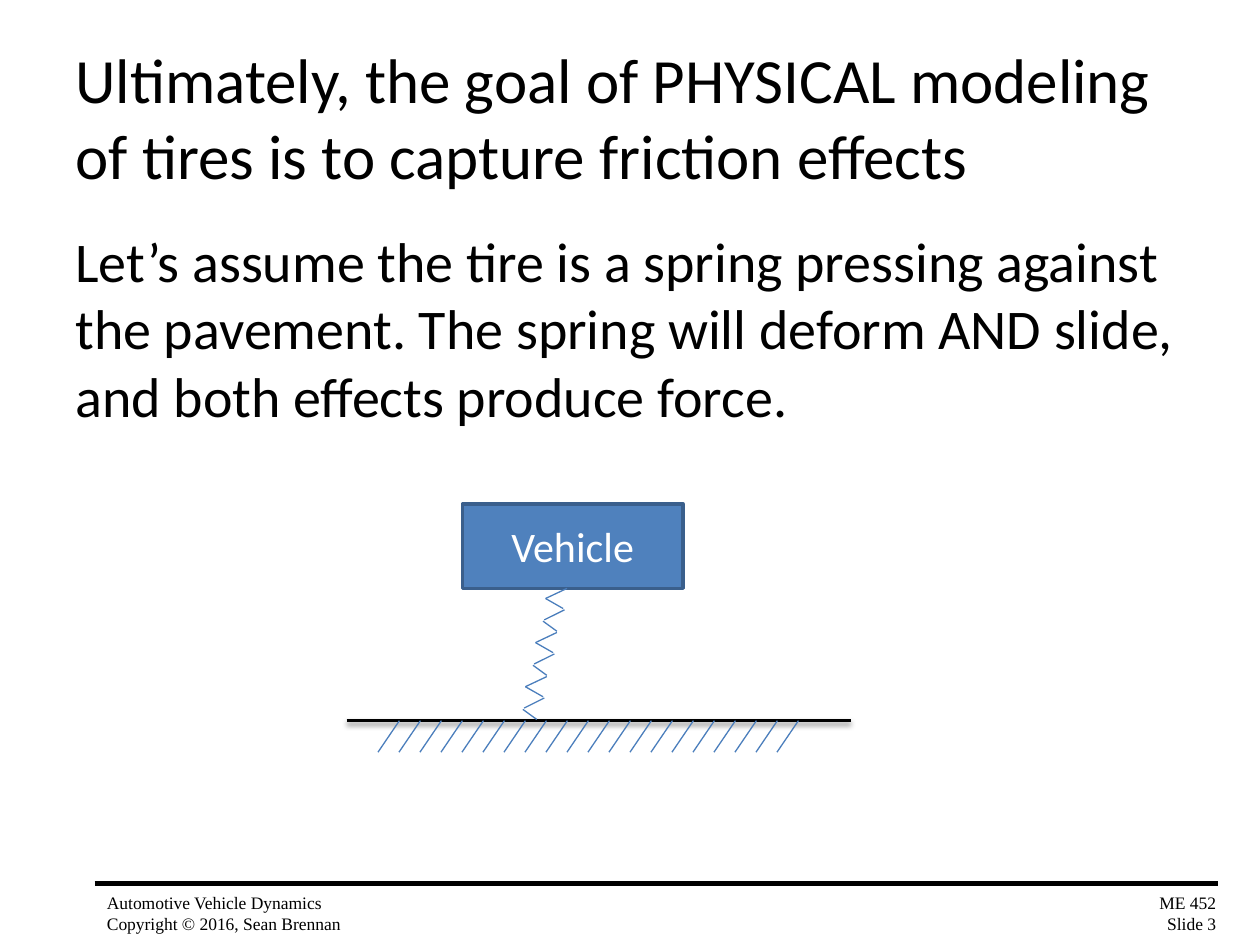
from dataclasses import dataclass

from lxml.etree import SubElement
from pptx import Presentation
from pptx.dml.color import RGBColor
from pptx.enum.shapes import MSO_CONNECTOR as Conn, MSO_SHAPE as Kind
from pptx.enum.text import MSO_ANCHOR as Anchor, PP_ALIGN as Align
from pptx.oxml.ns import qn
from pptx.util import Inches, Pt


@dataclass(frozen=True)
class Theme:
    sans: str = "Calibri"
    serif: str = "Times New Roman"
    ink: str = "000000"
    paper: str = "FFFFFF"
    fill: str = "4F81BD"
    edge: str = "3A5F8C"
    thin: str = "4B7EBC"
    title: int = 36
    body: int = 32
    label: int = 24
    foot: int = 10


@dataclass(frozen=True)
class Box:
    left: float
    top: float
    width: float
    height: float

    def emu(self) -> list:
        return [Inches(n) for n in (self.left, self.top, self.width, self.height)]


@dataclass(frozen=True)
class Line:
    x1: float
    y1: float
    x2: float
    y2: float

    def moved(self, dx: float, dy: float) -> "Line":
        return Line(self.x1 + dx, self.y1 + dy, self.x2 + dx, self.y2 + dy)


THEME = Theme()


def write(shape, text: str, size: int, font: str = THEME.sans,
          color: str = THEME.ink, align=Align.LEFT, anchor=Anchor.TOP,
          wrap: bool = True) -> None:
    frame = shape.text_frame
    frame.text = text
    frame.word_wrap = wrap
    frame.vertical_anchor = anchor
    for para in frame.paragraphs:
        para.alignment = align
        for run in para.runs:
            run.font.name = font
            run.font.size = Pt(size)
            run.font.color.rgb = RGBColor.from_string(color)


def draw(slide, line: Line, color: str = THEME.thin, width: float = 0.75,
         shade: bool = False) -> None:
    ends = [Inches(n) for n in (line.x1, line.y1, line.x2, line.y2)]
    link = slide.shapes.add_connector(Conn.STRAIGHT, *ends)
    link.line.color.rgb = RGBColor.from_string(color)
    link.line.width = Pt(width)
    effects = SubElement(link._element.spPr, qn("a:effectLst"))
    if shade:
        glow = SubElement(effects, qn("a:outerShdw"), blurRad=str(Pt(3.1)),
                          dist=str(Pt(1.6)), dir="5400000", rotWithShape="0")
        tint = SubElement(glow, qn("a:srgbClr"), val=THEME.ink)
        SubElement(tint, qn("a:alpha"), val="38000")


def main() -> None:
    deck = Presentation()
    deck.slide_width, deck.slide_height = Inches(10), Inches(7.5)
    slide = deck.slides.add_slide(deck.slide_layouts[6])
    shapes = slide.shapes

    # Footer
    feet = [
        (Box(0.75, 7.03, 2.08, 0.44), Align.LEFT,
         "Automotive Vehicle Dynamics\nCopyright © 2016, Sean Brennan"),
        (Box(9.06, 7.03, 0.69, 0.44), Align.RIGHT, "ME 452\nSlide 3"),
    ]
    for box, align, text in feet:
        write(shapes.add_textbox(*box.emu()), text, THEME.foot, THEME.serif,
              align=align, wrap=False)
    draw(slide, Line(0.75, 7.01, 9.67, 7.01), THEME.ink, 3)

    # Title and body
    write(shapes.add_textbox(*Box(0.5, 0.3, 9, 1.25).emu()),
          "Ultimately, the goal of PHYSICAL modeling of tires is to "
          "capture friction effects", THEME.title, anchor=Anchor.MIDDLE)
    write(shapes.add_textbox(*Box(0.5, 1.75, 9, 4.95).emu()),
          "Let’s assume the tire is a spring pressing against the pavement. "
          "The spring will deform AND slide, and both effects produce force.",
          THEME.body)

    # Pavement with evenly spaced hatching
    draw(slide, Line(2.75, 5.72, 6.75, 5.72), THEME.ink, 2, shade=True)
    hatch = Line(3.17, 5.72, 3, 5.97)
    for i in range(20):
        draw(slide, hatch.moved(i / 6, 0))

    # Vehicle
    car = shapes.add_shape(Kind.RECTANGLE, *Box(3.67, 4, 1.75, 0.67).emu())
    car.shadow.inherit = False
    car.fill.solid()
    car.fill.fore_color.rgb = RGBColor.from_string(THEME.fill)
    car.line.color.rgb = RGBColor.from_string(THEME.edge)
    car.line.width = Pt(2)
    write(car, "Vehicle", THEME.label, color=THEME.paper,
          align=Align.CENTER, anchor=Anchor.MIDDLE)

    # Spring: one coil, repeated down and to the left
    coil = [
        Line(4.5, 4.67, 4.33, 4.75),
        Line(4.48, 4.84, 4.32, 4.92),
        Line(4.47, 4.83, 4.33, 4.75),
        Line(4.42, 5.01, 4.31, 4.93),
    ]
    for i in range(3):
        for part in coil:
            draw(slide, part.moved(-0.08 * i, 0.35 * i))

    deck.save("out.pptx")


if __name__ == "__main__":
    main()
